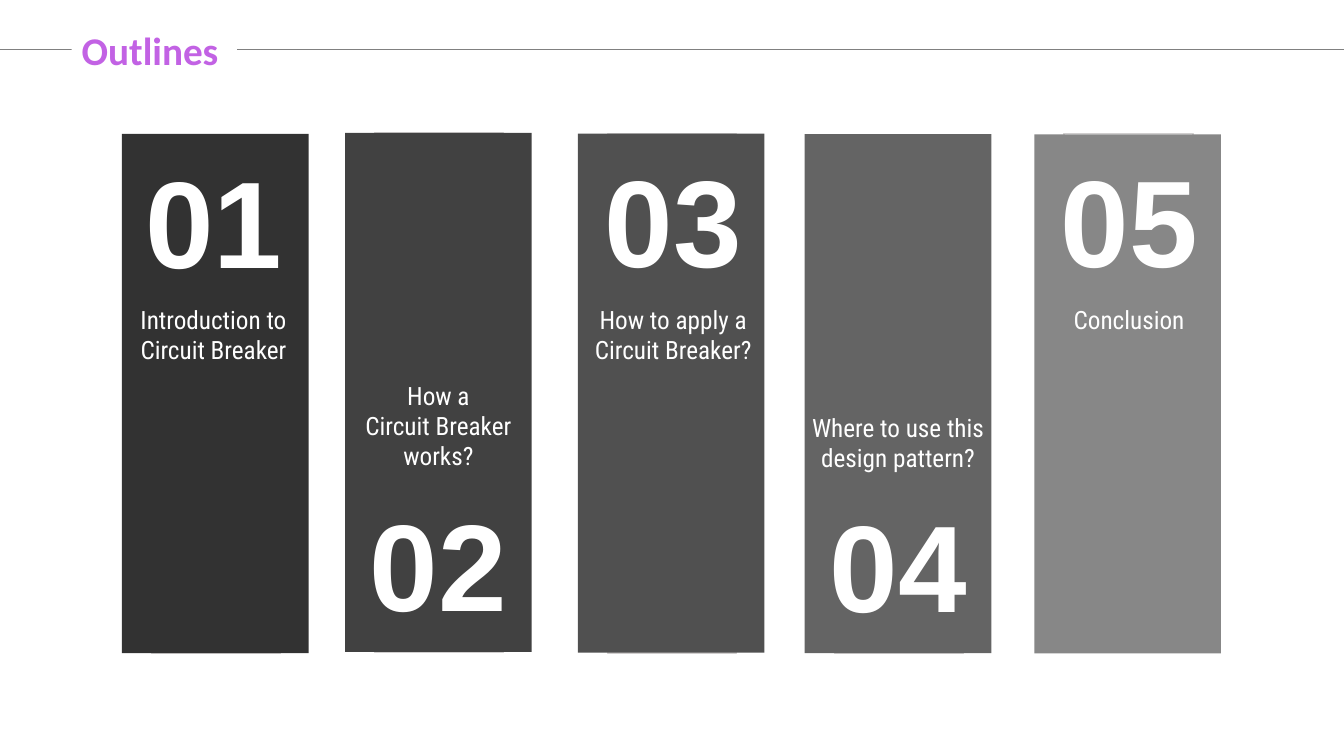
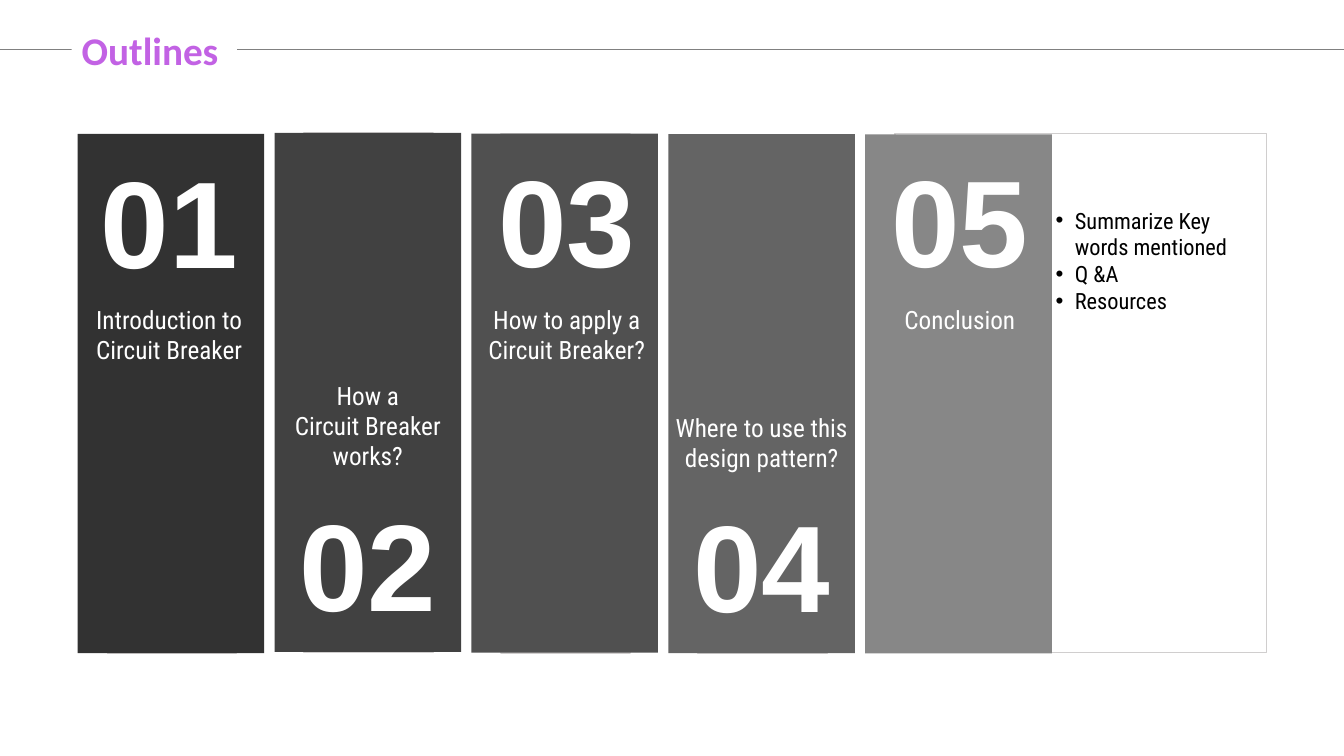
from dataclasses import dataclass

from lxml import etree
from pptx import Presentation
from pptx.dml.color import RGBColor
from pptx.enum.shapes import MSO_CONNECTOR, MSO_SHAPE
from pptx.enum.text import MSO_ANCHOR, MSO_AUTO_SIZE, PP_ALIGN
from pptx.oxml.ns import qn
from pptx.util import Inches, Pt

RECTANGLE = MSO_SHAPE.RECTANGLE
STRAIGHT = MSO_CONNECTOR.STRAIGHT
TOP = MSO_ANCHOR.TOP
NO_FIT = MSO_AUTO_SIZE.NONE
LEFT, CENTER = PP_ALIGN.LEFT, PP_ALIGN.CENTER

# Shared style
COLORS = {
    "title": "C262E4",
    "rule": "808080",
    "paper": "FFFFFF",
    "frame": "D0CECE",
    "ink": "000000",
    "card1": "323232",
    "card2": "414141",
    "card3": "505050",
    "card4": "646464",
    "card5": "878787",
}
TITLE_FONT, NUMBER_FONT, TEXT_FONT = "Calibri", "Arial", "Roboto Condensed"
TITLE_ONLY, TITLE_AND_BODY = 5, 1

# Grid: 100 columns by 100 rows
WIDTH, HEIGHT = Inches(13.33), Inches(7.5)
CARD_WIDTH, CARD_HEIGHT = 13.88, 68.67
TEXT_WIDTH = 15.9
FRAME_INSET, FRAME_WIDTH = 2.2, 9.6


def cols(count):
    return int(WIDTH * count / 100)


def rows(count):
    return int(HEIGHT * count / 100)


def box(left, top, width, height):
    return cols(left), rows(top), cols(width), rows(height)


def rgb(name):
    return RGBColor.from_string(COLORS[name])


@dataclass
class Section:
    label: str
    top: float
    number_top: float
    label_top: float
    nudge: float = 0
    frame_drop: float = 0.05


SECTIONS = [
    Section("Introduction to\nCircuit Breaker", 17.72, 18.53, 39.6, -0.13),
    Section("How a\nCircuit Breaker works?", 17.57, 64, 49.6),
    Section("How to apply a Circuit Breaker?", 17.67, 18.4, 39.6, 0.15),
    Section("Where to use this design pattern?", 17.73, 64.13, 53.87),
    Section("Conclusion", 17.77, 18.4, 39.6, 0.1, -0.12),
]
CLOSING_POINTS = ["Summarize Key words mentioned", "Q &A", "Resources"]


class Deck:
    def __init__(self):
        self.prs = Presentation()
        self.prs.slide_width, self.prs.slide_height = WIDTH, HEIGHT
        self.slide = None

    def new_slide(self, layout, title):
        self.slide = self.prs.slides.add_slide(self.prs.slide_layouts[layout])
        self.rule()
        self.title(title)

    def rule(self):
        line = self.slide.shapes.add_connector(
            STRAIGHT, 0, rows(6.53), cols(100), rows(6.53))
        line.line.color.rgb = rgb("rule")
        line.line.width = Pt(0.5)
        etree.SubElement(line._element.spPr, qn("a:effectLst"))

    def set_text(self, shape, text, font, size, color, bold=False, align=LEFT):
        frame = shape.text_frame
        frame.text = text
        frame.word_wrap = True
        frame.auto_size = NO_FIT
        frame.vertical_anchor = TOP
        for paragraph in frame.paragraphs:
            paragraph.alignment = align
            paragraph.space_before = Pt(0)
            for run in paragraph.runs:
                run.font.name, run.font.size = font, Pt(size)
                run.font.bold = bold
                run.font.color.rgb = rgb(color)

    def place(self, holder, area):
        """Moves a placeholder to its area, in front of what is drawn."""
        holder.left, holder.top, holder.width, holder.height = area
        self.slide.shapes._spTree.append(holder._element)

    def title(self, text):
        holder = self.slide.shapes.title
        self.place(holder, box(5.33, 2.8, 12.3, 7.6))
        holder.fill.solid()
        holder.fill.fore_color.rgb = rgb("paper")
        self.set_text(holder, text, TITLE_FONT, 28, "title", bold=True)

    def rectangle(self, shapes, area, fill, line=None):
        shape = shapes.add_shape(RECTANGLE, *area)
        shape.shadow.inherit = False
        shape.fill.solid()
        shape.fill.fore_color.rgb = rgb(fill)
        if line:
            shape.line.color.rgb = rgb(line)
            shape.line.width = Pt(1)
        else:
            shape.line.fill.background()

    def frame(self, section, left, width):
        top = section.top + section.frame_drop
        self.rectangle(self.slide.shapes,
                       box(left + FRAME_INSET, top, width, CARD_HEIGHT),
                       "paper", "frame")

    def card(self, order, section, left):
        shapes = self.slide.shapes.add_group_shape().shapes
        self.rectangle(shapes, box(left, section.top, CARD_WIDTH, CARD_HEIGHT),
                       f"card{order}")
        text_left = left + (CARD_WIDTH - TEXT_WIDTH) / 2 + section.nudge
        number = shapes.add_textbox(
            *box(text_left, section.number_top, TEXT_WIDTH, 21.07))
        self.set_text(number, f"{order:02}", NUMBER_FONT, 88, "paper", True, CENTER)
        label = shapes.add_textbox(
            *box(text_left, section.label_top, TEXT_WIDTH, 13.47))
        self.set_text(label, section.label, TEXT_FONT, 18, "paper", align=CENTER)

    def cards(self, lefts, last_frame=FRAME_WIDTH):
        widths = [FRAME_WIDTH] * (len(SECTIONS) - 1) + [last_frame]
        for section, left, width in zip(SECTIONS, lefts, widths):
            self.frame(section, left, width)
        for order, (section, left) in enumerate(zip(SECTIONS, lefts), 1):
            self.card(order, section, left)

    def bullets(self, points, area):
        holder = self.slide.placeholders[1]
        self.place(holder, area)
        self.set_text(holder, "\n".join(points), TEXT_FONT, 16, "ink")
        for paragraph in holder.text_frame.paragraphs:
            props = paragraph._p.get_or_add_pPr()
            props.set("marL", str(Inches(0.19)))
            props.set("indent", str(-Inches(0.19)))
            etree.SubElement(props, qn("a:buFont"), typeface="Arial")
            etree.SubElement(props, qn("a:buChar"), char="•")


def main():
    deck = Deck()

    # Overview of the five sections
    deck.new_slide(TITLE_ONLY, "Outlines")
    deck.cards([9.08, 25.68, 43, 59.88, 76.97])

    # Last section opened
    deck.new_slide(TITLE_AND_BODY, "Outlines")
    deck.cards([5.78 + 14.65 * step for step in range(len(SECTIONS))],
               last_frame=27.68)
    deck.bullets(CLOSING_POINTS, box(77.8, 26.67, 16, 15.73))

    deck.prs.save("out.pptx")


if __name__ == "__main__":
    main()
